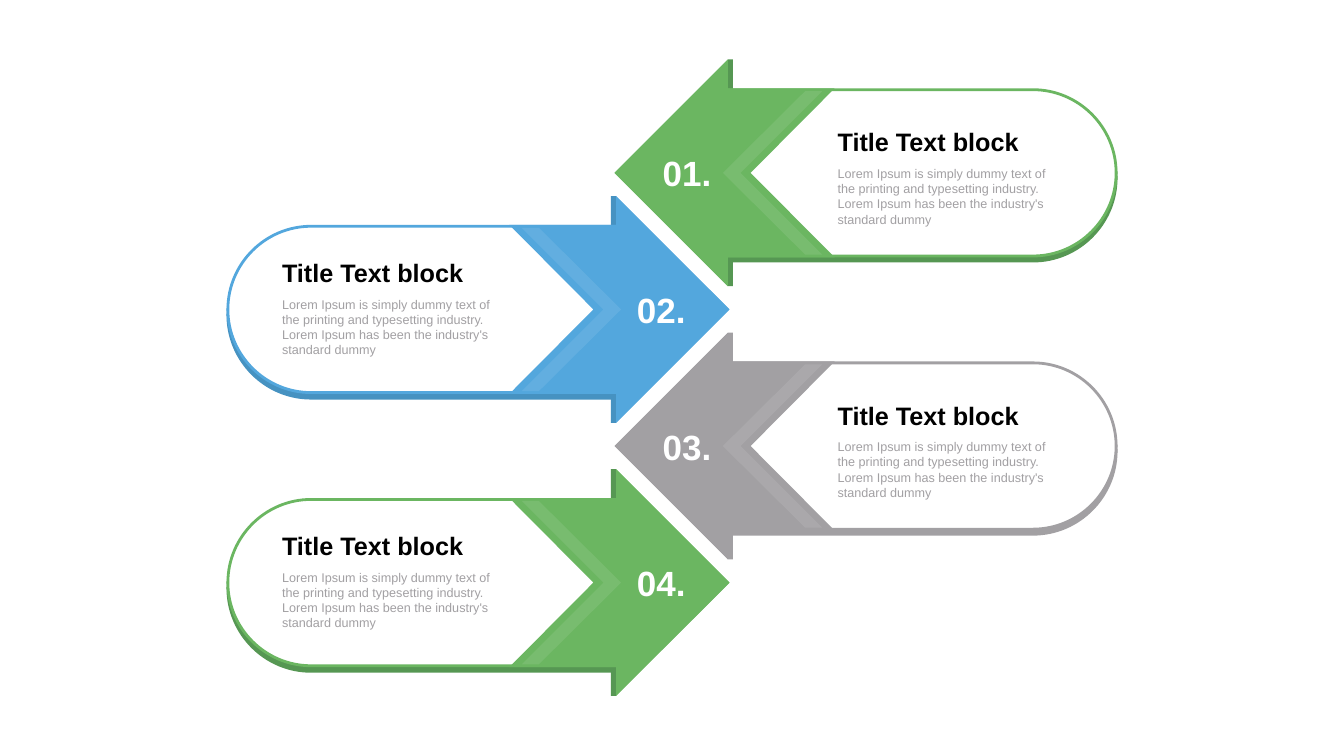
from lxml import etree
from pptx import Presentation
from pptx.dml.color import RGBColor
from pptx.enum.shapes import MSO_SHAPE
from pptx.enum.text import MSO_ANCHOR, MSO_AUTO_SIZE
from pptx.oxml.ns import qn
from pptx.util import Pt

PX = 9144  # 100 px to the inch
RECTANGLE = MSO_SHAPE.RECTANGLE
TOP, MIDDLE = MSO_ANCHOR.TOP, MSO_ANCHOR.MIDDLE
GROW = MSO_AUTO_SIZE.SHAPE_TO_FIT_TEXT

WHITE = RGBColor(0xFF, 0xFF, 0xFF)
BLACK = RGBColor(0x00, 0x00, 0x00)
GREY = RGBColor(0xA2, 0xA0, 0xA3)
GREEN = RGBColor(0x6B, 0xB6, 0x61)
DARK_GREEN = RGBColor(0x56, 0x97, 0x53)
BLUE = RGBColor(0x53, 0xA7, 0xDD)
DARK_BLUE = RGBColor(0x46, 0x92, 0xC1)

TITLE_FONT = {"name": "Arial", "size": Pt(36), "bold": True}
BODY_FONT = {"name": "Arial", "size": Pt(18), "bold": False}
NUMBER_FONT = {"name": "Arial", "size": Pt(50), "bold": True}
MARGINS = {f"margin_{edge}": Pt(4)
           for edge in ("left", "top", "right", "bottom")}

TITLE = "Title Text block"
BODY = ("Lorem Ipsum is simply dummy text of the printing and typesetting "
        "industry. Lorem Ipsum has been the industry's standard dummy")

FIRST_Y, PITCH = 343, 271  # centre line of the first arrow, step to the next
# Direction of the body from the tip, positions of tip and texts, shadow offset
BODY_RIGHT = {"dir": 1, "tip": 1223, "text": 1656, "number": 1309,
              "rise": 97, "drop": 10}
BODY_LEFT = {"dir": -1, "tip": 1443, "text": 554, "number": 1258,
             "rise": 109, "drop": 11}
ARROWS = [
    ("01.", BODY_RIGHT, GREEN, DARK_GREEN),
    ("02.", BODY_LEFT, BLUE, DARK_BLUE),
    ("03.", BODY_RIGHT, GREY, GREY),
    ("04.", BODY_LEFT, GREEN, DARK_GREEN),
]

# Outlines as offsets from the arrow tip, drawn for a body on the right
HALF, RADIUS, CAP_X = 218, 165, 826
ROUND = 0.55  # handle length of a quarter circle, as a share of its radius
CAP = [(CAP_X, RADIUS), (CAP_X + RADIUS, 0), (CAP_X, -RADIUS)]
HEAD = [(HALF, -RADIUS), (HALF, -HALF), (0, 0), (HALF, HALF), (HALF, RADIUS)]
PILL = HEAD + CAP
NOTCHED_HEAD = HEAD + [(426, RADIUS), (262, 0), (426, -RADIUS)]
CHEVRON = [(408, -162), (374, -162), (211, 0), (374, 162), (408, 162), (246, 0)]
PILL_SHADOW = [(222, -RADIUS), (222, RADIUS)] + CAP


def paint(sp, fill, line=None):
    sp.shadow.inherit = False
    sp.fill.solid()
    sp.fill.fore_color.rgb = fill
    if line is None:
        sp.line.fill.background()
    else:
        sp.line.color.rgb = line
        sp.line.width = Pt(4)
        ln = sp._element.spPr.find(qn("a:ln"))
        etree.SubElement(ln, qn("a:miter"), lim="800000")


def add_outline(shapes, points, side, cy, fill, line=None):
    pts = [((side["tip"] + side["dir"] * dx) * PX, (cy + dy) * PX)
           for dx, dy in points]
    builder = shapes.build_freeform(*pts[0])
    builder.add_line_segments(pts[1:], close=True)
    sp = builder.convert_to_shape()
    paint(sp, fill, line)
    return sp


def round_cap(sp):
    """Turn the last two line segments into quarter circles."""
    lines = list(sp._element.iter(qn("a:lnTo")))
    # A closed outline may end with a segment back to its start
    count = len(lines)
    xs = [int(ln[0].get("x")) for ln in lines]
    ys = [int(ln[0].get("y")) for ln in lines]
    for i in (count - 2, count - 1):
        x0, y0, x1, y1 = xs[i - 1], ys[i - 1], xs[i], ys[i]
        dx, dy = ROUND * (x1 - x0), ROUND * (y1 - y0)
        if i == count - 2:  # leaves level, arrives upright
            handles = [(x0 + dx, y0), (x1, y1 - dy)]
        else:
            handles = [(x0, y0 + dy), (x1 - dx, y1)]
        curve = etree.Element(qn("a:cubicBezTo"))
        for x, y in handles + [(x1, y1)]:
            etree.SubElement(curve, qn("a:pt"), x=str(round(x)), y=str(round(y)))
        lines[i].getparent().replace(lines[i], curve)


def set_alpha(sp, percent):
    color = sp._element.spPr.find(qn("a:solidFill"))[0]
    etree.SubElement(color, qn("a:alpha"), val=str(percent * 1000))


def add_text(shapes, box, text, font, color, anchor):
    tf = shapes.add_textbox(*(v * PX for v in box)).text_frame
    frame = {"word_wrap": True, "auto_size": GROW, "vertical_anchor": anchor}
    for name, value in (MARGINS | frame).items():
        setattr(tf, name, value)
    r = tf.paragraphs[0].add_run()
    r.text = text
    for name, value in font.items():
        setattr(r.font, name, value)
    r.font.color.rgb = color


def add_arrow(slide, cy, number, side, color, dark):
    shapes = slide.shapes.add_group_shape().shapes

    # Darker edge behind the head and the pill
    edge_x = side["tip"] + side["dir"] * 226 - 5
    edge = shapes.add_shape(RECTANGLE, edge_x * PX, (cy - 225) * PX,
                            10 * PX, 450 * PX)
    paint(edge, dark)
    round_cap(add_outline(shapes, PILL_SHADOW, side, cy + side["drop"],
                          dark, dark))

    # White pill, coloured head and light chevron
    round_cap(add_outline(shapes, PILL, side, cy, WHITE, color))
    add_outline(shapes, NOTCHED_HEAD, side, cy, color, color)
    set_alpha(add_outline(shapes, CHEVRON, side, cy, WHITE), 9)

    # Texts
    top = cy - side["rise"]
    add_text(shapes, (side["text"], top, 457, 71),
             TITLE, TITLE_FONT, BLACK, MIDDLE)
    add_text(shapes, (side["text"], top + 78, 457, 131),
             BODY, BODY_FONT, GREY, TOP)
    add_text(shapes, (side["number"], cy - 47, 158, 94),
             number, NUMBER_FONT, WHITE, MIDDLE)


def main():
    prs = Presentation()
    prs.slide_width, prs.slide_height = 2666 * PX, 1500 * PX
    slide = prs.slides.add_slide(prs.slide_layouts[6])
    for i, arrow in enumerate(ARROWS):
        add_arrow(slide, FIRST_Y + i * PITCH, *arrow)
    prs.save("out.pptx")


if __name__ == "__main__":
    main()
